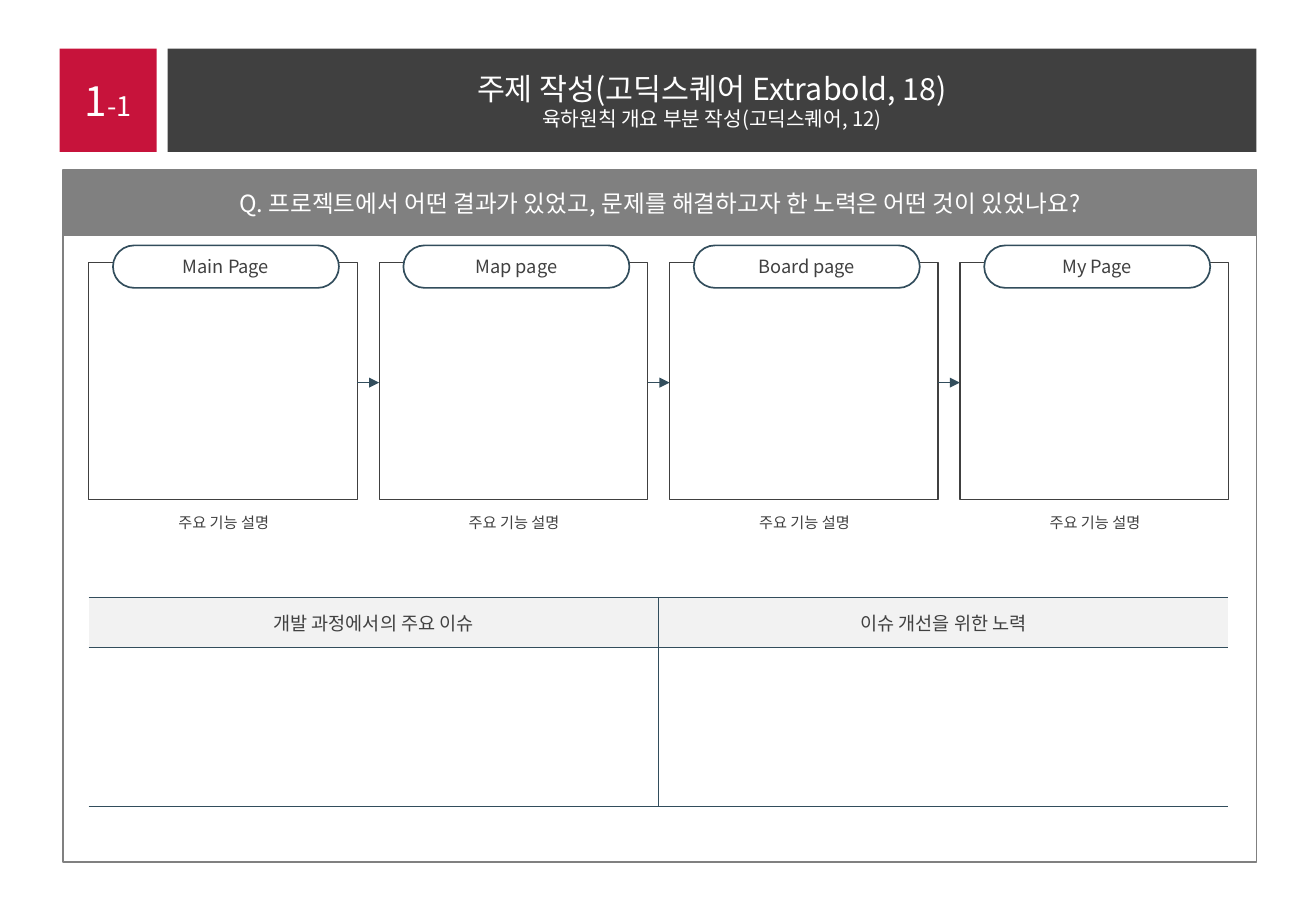
"""Build the project result slide: four linked page frames above an issue table."""
from lxml import etree
from pptx import Presentation
from pptx.dml.color import RGBColor
from pptx.enum.shapes import MSO_CONNECTOR, MSO_SHAPE
from pptx.enum.text import MSO_ANCHOR, PP_ALIGN
from pptx.oxml import parse_xml
from pptx.oxml.ns import nsdecls, qn
from pptx.util import Inches, Pt

RECT, PILL = MSO_SHAPE.RECTANGLE, MSO_SHAPE.ROUNDED_RECTANGLE
LINE = MSO_CONNECTOR.STRAIGHT
CENTER, MIDDLE = PP_ALIGN.CENTER, MSO_ANCHOR.MIDDLE
FONT = "Noto Sans CJK KR"
HUES = {"white": "FFFFFF", "red": "C7133B", "dark": "404040",
        "gray": "808080", "pale": "F2F2F2", "navy": "324D5C"}
RGB = {name: RGBColor.from_string(code) for name, code in HUES.items()}
LEFT, PITCH, WIDE = 0.73, 2.39, 2.21
TOP, TALL = 2.16, 1.95


def style(frame, size, hue):
    """Center the text of a frame and set its font."""
    frame.word_wrap = True
    for para in frame.paragraphs:
        para.alignment = CENTER
        for run in para.runs:
            run.font.size = Pt(size)
            run.font.name = FONT
            run.font.color.rgb = RGB[hue]
            etree.SubElement(run.font._element, qn("a:ea"), typeface=FONT)


def block(kind, area, fill=None, edge=None, width=1):
    """Add a shape with a plain fill and outline."""
    shape = slide.shapes.add_shape(kind, *map(Inches, area))
    shape.shadow.inherit = False
    if fill:
        shape.fill.solid()
        shape.fill.fore_color.rgb = RGB[fill]
    else:
        shape.fill.background()
    if edge:
        shape.line.color.rgb = RGB[edge]
        shape.line.width = Pt(width)
    else:
        shape.line.fill.background()
    shape.text_frame.vertical_anchor = MIDDLE
    return shape


deck = Presentation()
deck.slide_width, deck.slide_height = Inches(10.83), Inches(7.5)
slide = deck.slides.add_slide(deck.slide_layouts[6])

query = block(RECT, (0.52, 1.4, 9.82, 0.54), "gray", "gray").text_frame
query.text = "Q. 프로젝트에서 어떤 결과가 있었고, 문제를 해결하고자 한 노력은 어떤 것이 있었나요?"
style(query, 14, "white")

badge = block(RECT, (0.49, 0.4, 0.8, 0.85), "red").text_frame
badge.text = "1"
badge.paragraphs[0].add_run().text = "-1"
style(badge, 24, "white")
badge.paragraphs[0].runs[1].font.size = Pt(16)

title = block(RECT, (1.38, 0.4, 8.96, 0.85), "dark").text_frame
title.text = "주제 작성(고딕스퀘어 Extrabold, 18)\n육하원칙 개요 부분 작성(고딕스퀘어, 12)"
style(title, 18, "white")
title.paragraphs[1].runs[0].font.size = Pt(12)

block(RECT, (0.52, 1.94, 9.82, 5.16), edge="gray")

pages = ["Main Page", "Map page", "Board page", "My Page"]
for col, name in enumerate(pages):
    x = LEFT + col * PITCH
    block(RECT, (x, TOP, WIDE, TALL), "white", "dark", 0.75)

    label = block(PILL, (x + 0.2, 2.02, 1.86, 0.35), "white", "navy")
    label.adjustments[0] = 0.5
    label.text_frame.text = name
    style(label.text_frame, 10.8, "dark")

    note = slide.shapes.add_textbox(*map(Inches, (x + 0.02, 4.1, 2.18, 0.86))).text_frame
    note.text = "주요 기능 설명"
    note.paragraphs[0].line_spacing = 1.5
    style(note, 9, "dark")

    if col:
        y = Inches(3.15)
        arrow = slide.shapes.add_connector(
            LINE, Inches(x - PITCH + WIDE), y, Inches(x), y)
        arrow.line.color.rgb = RGB["navy"]
        arrow.line.width = Pt(0.5)
        etree.SubElement(arrow.line._get_or_add_ln(), qn("a:tailEnd"), type="triangle")
        etree.SubElement(arrow._element.spPr, qn("a:effectLst"))

frame = slide.shapes.add_table(2, 2, *map(Inches, (LEFT, 4.92, 9.38, 1.72)))
frame._element.find(".//" + qn("a:tableStyleId")).text = "{2D5ABB26-0587-4C30-8999-92F81FD0307C}"
table = frame.table
table.first_row = table.horz_banding = False
for row, height in zip(table.rows, (0.41, 1.31)):
    row.height = Inches(height)
heads = ["개발 과정에서의 주요 이슈", "이슈 개선을 위한 노력"]
for cell, head in zip(table.rows[0].cells, heads):
    cell.text = head
    cell.vertical_anchor = MIDDLE
    style(cell.text_frame, 11, "dark")
    cell.fill.solid()
    cell.fill.fore_color.rgb = RGB["pale"]
for row in table.rows:
    for cell, sides in zip(row.cells, ("RTB", "LTB")):
        props = cell._tc.get_or_add_tcPr()
        for spot, side in enumerate(sides):
            props.insert(spot, parse_xml(
                f'<a:ln{side} {nsdecls("a")} w="{Pt(0.75)}"><a:solidFill>'
                f'<a:srgbClr val="{HUES["navy"]}"/></a:solidFill></a:ln{side}>'))
for cell in table.rows[1].cells:
    cell.fill.background()

deck.save("out.pptx")
